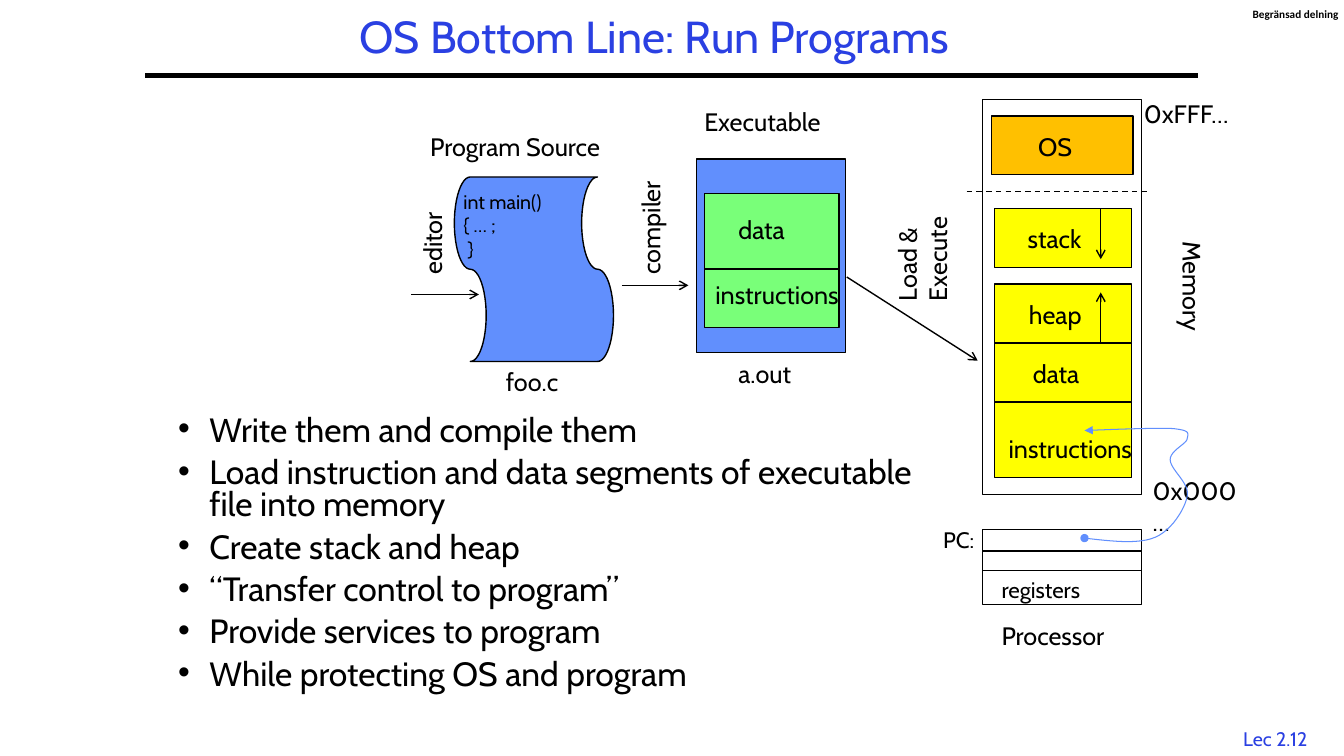
from lxml.etree import SubElement
from pptx import Presentation
from pptx.dml.color import RGBColor
from pptx.enum.dml import MSO_LINE_DASH_STYLE as DASH
from pptx.enum.shapes import MSO_CONNECTOR as CONNECTOR, MSO_SHAPE as SHAPE
from pptx.enum.text import MSO_ANCHOR as ANCHOR, PP_ALIGN as ALIGN
from pptx.oxml.ns import qn
from pptx.util import Cm, Pt

BLACK, BLUE, TITLE_BLUE = "000000", "618FFD", "2A40E2"
YELLOW, ORANGE, GREEN = "FFFF00", "FFC000", "79FF79"


def color(hex_string):
    return RGBColor.from_string(hex_string)


def lengths(*values):
    return [Cm(value) for value in values]


def curve_points(start, controls, steps=12):
    """Return points along a chain of cubic curves."""
    points = [start]
    for a, b, end in controls:
        begin = points[-1]
        for step in range(1, steps + 1):
            t = step / steps
            weights = ((1 - t) ** 3, 3 * t * (1 - t) ** 2,
                       3 * t ** 2 * (1 - t), t ** 3)
            points.append(tuple(
                sum(w * p[axis] for w, p in zip(weights, (begin, a, b, end)))
                for axis in (0, 1)))
    return points


class Diagram:
    """Draws on one slide, with lengths in centimetres."""

    font = "Cabin"
    size = 18
    line_width = 1

    def __init__(self, slide):
        self.slide = slide
        self.shapes = slide.shapes

    def text(self, text, x, y, w, h=1.02, *, size=None, ink=BLACK, font=None,
             bold=False, align=ALIGN.LEFT, anchor=ANCHOR.TOP, wrap=False,
             rotation=0, margins=(0.25, 0.13), spacing=None, before=0,
             bullet_indent=0):
        box = self.shapes.add_textbox(*lengths(x, y, w, h))
        box.rotation = rotation
        frame = box.text_frame
        frame.word_wrap = wrap
        frame.vertical_anchor = anchor
        frame.margin_left = frame.margin_right = Cm(margins[0])
        frame.margin_top = frame.margin_bottom = Cm(margins[1])
        for index, content in enumerate(text.split("\n")):
            paragraph = frame.paragraphs[0] if index == 0 else frame.add_paragraph()
            paragraph.alignment = align
            if spacing:
                paragraph.line_spacing = spacing
            if before and index:
                paragraph.space_before = Pt(before)
            if bullet_indent:
                props = paragraph._p.get_or_add_pPr()
                props.set("marL", str(Cm(bullet_indent)))
                props.set("indent", str(-Cm(bullet_indent)))
                SubElement(props, qn("a:buFont"), typeface="Arial")
                SubElement(props, qn("a:buChar"), char="•")
            run = paragraph.add_run()
            run.text = content
            run.font.name = font or self.font
            run.font.size = Pt(size or self.size)
            run.font.bold = bold
            run.font.color.rgb = color(ink)

    def outline(self, line, ink=BLACK, width=None, head=None, tail=None):
        line.color.rgb = color(ink)
        line.width = Pt(width or self.line_width)
        for tag, kind in (("a:headEnd", head), ("a:tailEnd", tail)):
            if kind:
                SubElement(line._get_or_add_ln(), qn(tag), type=kind)

    def block(self, x, y, w, h, fill=None, kind=SHAPE.RECTANGLE, rotation=0):
        block = self.shapes.add_shape(kind, *lengths(x, y, w, h))
        block.shadow.inherit = False
        block.rotation = rotation
        if fill:
            block.fill.solid()
            block.fill.fore_color.rgb = color(fill)
        else:
            block.fill.background()
        self.outline(block.line)

    def line(self, x1, y1, x2, y2, *, width=None, dash=None, tail=None):
        line = self.shapes.add_connector(
            CONNECTOR.STRAIGHT, *lengths(x1, y1, x2, y2))
        self.outline(line.line, width=width, tail=tail)
        if dash:
            line.line.dash_style = dash
        SubElement(line._element.spPr, qn("a:effectLst"))

    def arrow(self, x1, y1, x2, y2):
        self.line(x1, y1, x2, y2, tail="arrow")

    def curved_arrow(self, start, controls):
        first, *rest = [lengths(*p) for p in curve_points(start, controls)]
        builder = self.shapes.build_freeform(*first)
        builder.add_line_segments(rest, close=False)
        curve = builder.convert_to_shape()
        curve.shadow.inherit = False
        curve.fill.background()
        self.outline(curve.line, BLUE, 0.75, head="oval", tail="triangle")


def draw_frame(d):
    d.text("Lec 2.12", 30.91, 18.19, 2.46, 0.84, size=14, ink=TITLE_BLUE,
           align=ALIGN.CENTER)
    d.line(3.66, 1.9, 30.2, 1.9, width=3)
    d.text("Begränsad delning", 31.57, 0.18, 2.18, 0.33, size=8,
           font="Calibri", bold=True, margins=(0, 0))
    d.text("OS Bottom Line: Run Programs", 6.55, 0.25, 19.89, 1.47, size=32,
           ink=TITLE_BLUE, align=ALIGN.CENTER, anchor=ANCHOR.MIDDLE,
           wrap=True, spacing=0.9)


def draw_source(d):
    d.block(11.13, 4.78, 4.65, 4.01, BLUE, SHAPE.FLOWCHART_PUNCHED_TAPE, 90)
    d.text("int main()\n{ … ;\n }", 11.43, 4.65, 2.72, 2.06, size=14)
    d.arrow(10.36, 7.42, 12.07, 7.42)
    d.text("editor", 9.83, 5.61, 2.11, rotation=270)
    d.text("Program Source", 10.59, 3.18, 5.18)
    d.text("foo.c", 12.5, 9.09, 1.9)


def draw_executable(d):
    d.block(17.55, 4.01, 3.76, 4.88, BLUE)
    d.arrow(15.67, 7.19, 17.35, 7.19)
    d.text("compiler", 14.91, 5.18, 2.95, rotation=270)
    d.text("Executable", 17.5, 2.54, 3.68)
    d.text("a.out", 18.36, 8.89, 1.93)
    d.block(17.75, 4.88, 3.4, 1.9, GREEN)
    d.block(17.75, 6.78, 3.4, 1.48, GREEN)
    d.text("data", 18.36, 5.28, 1.75)
    d.text("instructions", 17.78, 6.91, 3.76)
    d.arrow(21.34, 6.98, 24.64, 9.09)
    d.text("Load & Execute", 21.67, 5.36, 3.15, 1.8, wrap=True, rotation=270)


def draw_memory(d):
    d.block(24.76, 2.51, 4.01, 9.96)
    d.text("Memory", 28.65, 6.73, 2.82, rotation=90)
    d.text("0xFFF…", 28.58, 2.34, 3)
    d.text("0x000…", 28.8, 11.86, 2.9, wrap=True)
    segments = [
        # name, left, top, width, height, fill, label left, label drop, label width
        ("OS", 24.99, 2.92, 3.56, 1.48, ORANGE, 25.91, 0.25, 1.45),
        ("stack", 25.07, 5.26, 3.45, 1.48, YELLOW, 25.65, 0.25, 2.01),
        ("heap", 25.07, 7.16, 3.45, 1.48, YELLOW, 25.68, 0.25, 1.93),
        ("data", 25.07, 8.64, 3.45, 1.48, YELLOW, 25.78, 0.25, 1.75),
        ("instructions", 25.07, 10.13, 3.45, 1.9, YELLOW, 25.17, 0.67, 3.76),
    ]
    for name, x, y, w, h, fill, label_x, drop, label_w in segments:
        d.block(x, y, w, h, fill)
        d.text(name, label_x, y + drop, label_w)
    d.line(24.36, 4.83, 29.01, 4.83, dash=DASH.DASH)
    d.arrow(27.74, 5.26, 27.74, 6.53)
    d.arrow(27.74, 8.64, 27.74, 7.37)


def draw_processor(d):
    d.text("PC:", 23.52, 13.13, 1.47, 0.94, size=16)
    d.block(24.76, 13.34, 4.01, 1.9)
    d.block(24.76, 13.89, 4.01, 0.48)
    d.text("registers", 24.99, 14.4, 2.69, 0.94, size=16)
    d.text("Processor", 24.99, 15.49, 3.4)
    d.curved_arrow((27.33, 13.56), [
        ((28.02, 13.64), (28.68, 13.72), (29.11, 13.54)),
        ((29.54, 13.36), (29.87, 12.8), (29.92, 12.5)),
        ((29.99, 12.17), (29.49, 11.84), (29.49, 11.58)),
        ((29.49, 11.35), (29.92, 11.18), (29.92, 11.05)),
        ((29.95, 10.9), (29.99, 10.85), (29.57, 10.8)),
        ((29.13, 10.77), (27.33, 10.85), (27.33, 10.85)),
    ])


def draw_steps(d):
    steps = [
        "Write them and compile them",
        "Load instruction and data segments of executable file into memory",
        "Create stack and heap",
        "“Transfer control to program”",
        "Provide services to program",
        "While protecting OS and program",
    ]
    d.text("\n".join(steps), 4.24, 10.36, 19.63, 7.82, size=24, wrap=True,
           spacing=0.8, before=7.2, bullet_indent=0.79)


def main():
    deck = Presentation()
    deck.slide_width, deck.slide_height = lengths(33.87, 19.05)
    diagram = Diagram(deck.slides.add_slide(deck.slide_layouts[6]))
    for draw in (draw_frame, draw_memory, draw_processor, draw_source,
                 draw_executable, draw_steps):
        draw(diagram)
    deck.save("out.pptx")


if __name__ == "__main__":
    main()
